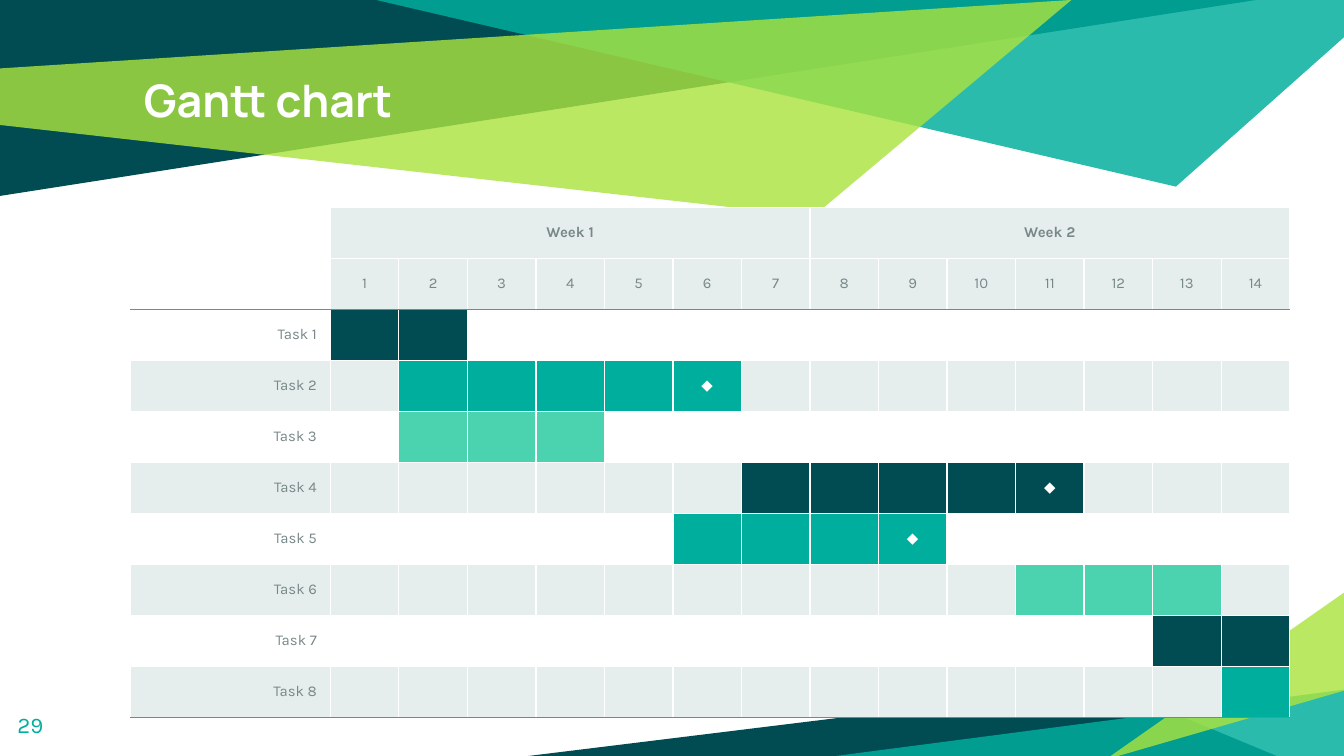
from dataclasses import dataclass

from lxml import etree
from pptx import Presentation
from pptx.dml.color import RGBColor
from pptx.enum.text import MSO_ANCHOR as Anchor, PP_ALIGN as Align
from pptx.oxml.ns import qn
from pptx.util import Pt


@dataclass(frozen=True)
class Theme:
    dark: str = "004C52"
    teal: str = "00AE9D"
    mint: str = "4BD3B0"
    lime: str = "ABE33F"
    pale: str = "E6EEED"
    gray: str = "788788"
    white: str = "FFFFFF"
    head: str = "Manrope"
    body: str = "Karla"
    title: float = 24
    number: float = 12
    small: float = 8
    line: float = 0.75


THEME = Theme()
DAYS = 14
WEEK = 7
MARK = "◆"

# First day, last day, colour, milestone on the last day
TASKS = [
    (1, 2, THEME.dark, False),
    (2, 6, THEME.teal, True),
    (2, 4, THEME.mint, False),
    (7, 11, THEME.dark, True),
    (6, 9, THEME.teal, True),
    (11, 13, THEME.mint, False),
    (13, 14, THEME.dark, False),
    (14, 14, THEME.teal, False),
]

# Overlapping facets: points within the box, colour, opacity in percent
TOP = [
    ([(0, 0), (0, 105), (673, 0)], THEME.dark, 100),
    ([(201.5, 0), (630, 100), (720, 20), (720, 0)], THEME.teal, 83),
    ([(0, 36.7), (0, 67), (435.6, 116), (574, 0)], THEME.lime, 81),
]
BOTTOM = [
    ([(0, 88), (401, 88), (309.5, 50)], THEME.dark, 100),
    ([(437, 52.5), (437, 88), (165, 88)], THEME.teal, 83),
    ([(437, 53), (437, 0.5), (312, 88), (316, 88)], THEME.lime, 81),
]


def style(para, size, color, font=THEME.body, bold=False):
    for run in para.runs:
        run.font.name = font
        run.font.size = Pt(size)
        run.font.bold = bold
        run.font.color.rgb = RGBColor.from_string(color)


def add_facets(slide, box, facets):
    left, top = box
    for points, color, alpha in facets:
        spots = [(Pt(left + x), Pt(top + y)) for x, y in points]
        pen = slide.shapes.build_freeform(*spots[0])
        pen.add_line_segments(spots[1:], close=True)
        shape = pen.convert_to_shape()
        shape.shadow.inherit = False
        shape.line.fill.background()
        shape.fill.solid()
        shape.fill.fore_color.rgb = RGBColor.from_string(color)
        if alpha < 100:
            tint = shape.fill._xPr.find(".//" + qn("a:srgbClr"))
            etree.SubElement(tint, qn("a:alpha"), val=str(alpha * 1000))


def add_label(slide, box, text, size, color, font, bold=False):
    frame = slide.shapes.add_textbox(*map(Pt, box)).text_frame
    frame.word_wrap = True
    frame.margin_left = frame.margin_right = Pt(7.2)
    frame.margin_top = frame.margin_bottom = Pt(7.2)
    frame.text = text
    style(frame.paragraphs[0], size, color, font, bold)


def set_edges(cell, top, bottom):
    # Borders come before the fill in the cell properties
    props = cell._tc.get_or_add_tcPr()
    edges = [("L", THEME.white), ("R", THEME.white), ("T", top), ("B", bottom)]
    for spot, (side, color) in enumerate(edges):
        line = etree.Element(qn("a:ln" + side), w=str(Pt(THEME.line)))
        fill = etree.SubElement(line, qn("a:solidFill"))
        etree.SubElement(fill, qn("a:srgbClr"), val=color)
        props.insert(spot, line)


def plan_cell(row, col):
    """Return the text and fill of one cell of the chart."""
    if row < 2:
        if col == 0:
            return "", None
        if row == 1:
            return str(col), THEME.pale
        week, day = divmod(col - 1, WEEK)
        return (f"Week {week + 1}" if day == 0 else ""), THEME.pale
    first, last, color, mark = TASKS[row - 2]
    if first <= col <= last:
        return (MARK if mark and col == last else ""), color
    band = THEME.pale if row % 2 else None
    return (f"Task {row - 1}" if col == 0 else ""), band


def add_gantt(slide, box, name_width):
    left, top, width, height = box
    count = len(TASKS) + 2
    table = slide.shapes.add_table(count, DAYS + 1, *map(Pt, box)).table
    table.first_row = table.horz_banding = False
    for col, column in enumerate(table.columns):
        column.width = Pt((width - name_width) / DAYS if col else name_width)
    for row in table.rows:
        row.height = Pt(height / count)

    for row in range(count):
        for col in range(DAYS + 1):
            cell = table.cell(row, col)
            text, color = plan_cell(row, col)
            if color:
                cell.fill.solid()
                cell.fill.fore_color.rgb = RGBColor.from_string(color)
            else:
                cell.fill.background()
            set_edges(cell,
                      THEME.gray if row == 2 else THEME.white,
                      THEME.gray if row in (1, count - 1) else THEME.white)
            cell.vertical_anchor = Anchor.MIDDLE
            if not text:
                # Blank cells must not stretch their row
                cell.margin_top = cell.margin_bottom = Pt(0)
                continue
            cell.text = text
            para = cell.text_frame.paragraphs[0]
            para.alignment = Align.CENTER if col else Align.RIGHT
            style(para, THEME.small,
                  THEME.white if text == MARK else THEME.gray, bold=row == 0)

    # Week headings span their days
    for start in range(1, DAYS + 1, WEEK):
        table.cell(0, start).merge(table.cell(0, start + WEEK - 1))


def main():
    deck = Presentation()
    deck.slide_width, deck.slide_height = Pt(720), Pt(405)
    slide = deck.slides.add_slide(deck.slide_layouts[6])

    # Background facets
    add_facets(slide, (0, 0), TOP)
    add_facets(slide, (283, 317), BOTTOM)

    # Title and page number
    add_label(slide, (70, 31.7, 580, 67.7), "Gantt chart",
              THEME.title, THEME.white, THEME.head, bold=True)
    add_label(slide, (2.2, 373.7, 43, 31), "29",
              THEME.number, THEME.teal, THEME.body)

    # Schedule
    add_gantt(slide, (70, 111.2, 621, 273), 107)
    deck.save("out.pptx")


if __name__ == "__main__":
    main()
